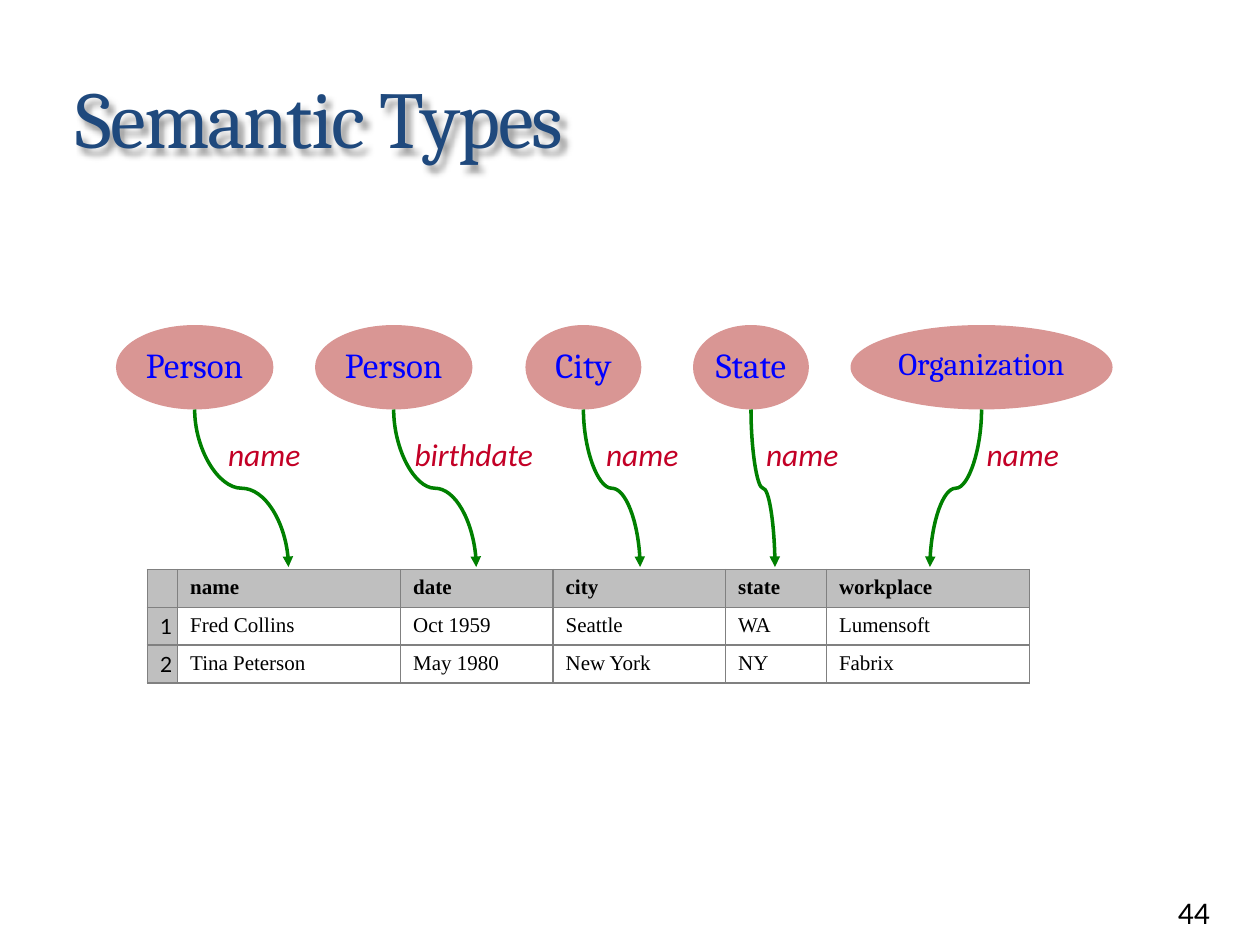
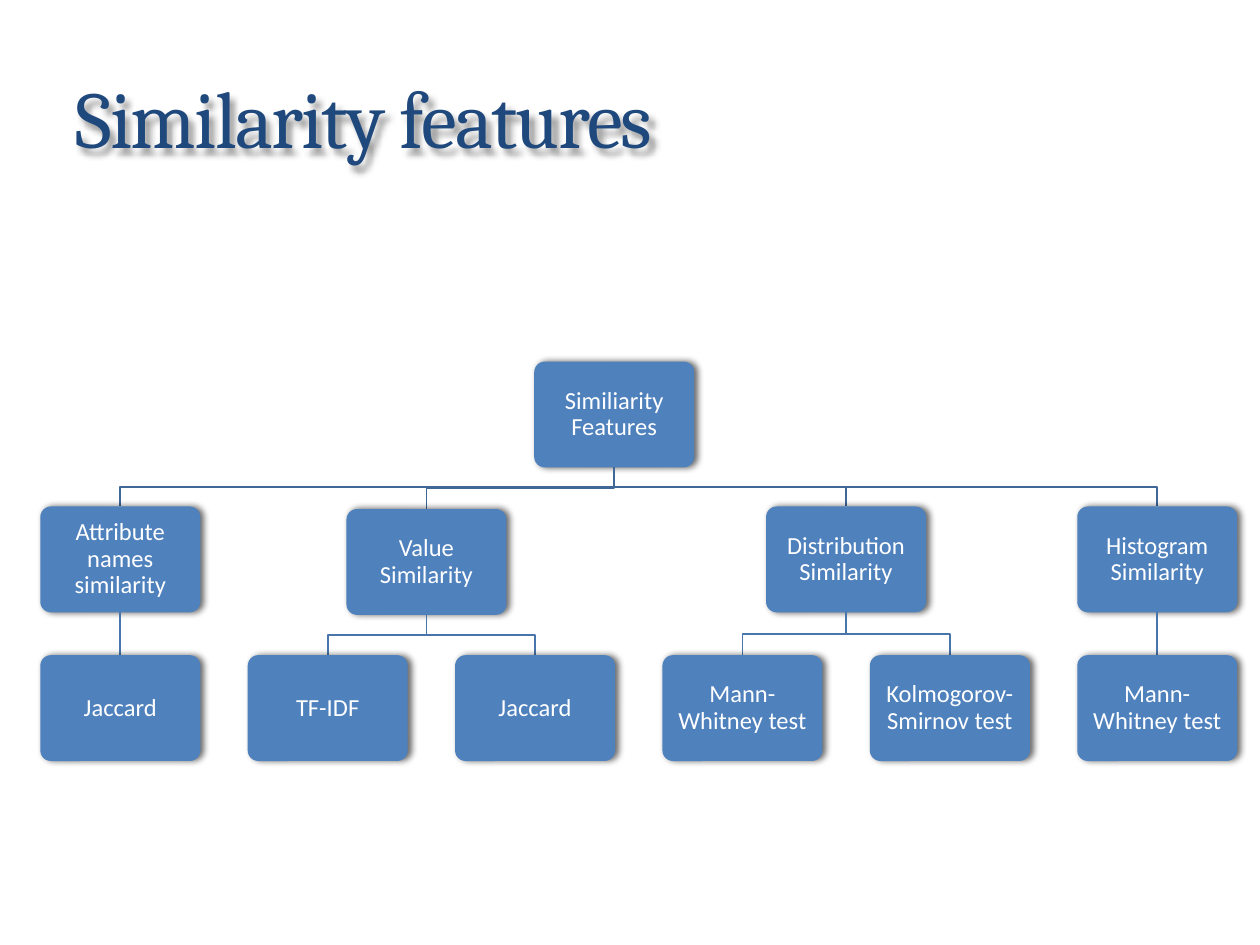
from lxml.etree import SubElement
from pptx import Presentation
from pptx.dml.color import RGBColor
from pptx.enum.shapes import MSO_CONNECTOR, MSO_SHAPE
from pptx.enum.text import MSO_ANCHOR, PP_ALIGN
from pptx.oxml.ns import qn
from pptx.util import Inches, Pt

COLORS = {
    "title": "1F497D", "type": "D99694", "type_text": "0000FF",
    "arrow": "008000", "relation": "C30026", "black": "000000",
    "header": "BFBFBF", "border": "808080", "node": "4F81BD",
    "node_text": "FFFFFF", "branch": "3F6797", "leaf_branch": "4875AC",
}

# Semantic types: name, left, width, size, relation, relation left, arrow end
TYPE_TOP, TYPE_HEIGHT, ARROW_END = 2.58, 0.67, 4.5
TYPES = [
    ("Person", 0.92, 1.25, 20, "name", 1.81, 2.29),
    ("Person", 2.5, 1.25, 20, "birthdate", 3.29, 3.78),
    ("City", 4.17, 0.92, 20, "name", 4.81, 5.08),
    ("State", 5.5, 0.92, 20, "name", 6.08, 6.15),
    ("Organization", 6.75, 2.08, 18, "name", 7.83, 7.38),
]
COLUMN_WIDTHS = [0.24, 1.77, 1.21, 1.37, 0.8, 1.61]
PEOPLE = [
    ["", "name", "date", "city", "state", "workplace"],
    ["1", "Fred Collins", "Oct 1959", "Seattle", "WA", "Lumensoft"],
    ["2", "Tina Peterson", "May 1980", "New York", "NY", "Fabrix"],
]

# Feature tree: name, left, top, leaves
NODE_WIDTH, NODE_HEIGHT = 1.27, 0.84
ROOT = ("Similiarity Features", 4.24, 2.87)
LEAF_TOP, FIRST_LEAF, LAST_LEAF = 5.2, 0.32, 8.55
FEATURES = [
    ("Attribute names similarity", 0.32, 4.02, ["Jaccard"]),
    ("Value Similarity", 2.75, 4.04, ["TF-IDF", "Jaccard"]),
    ("Distribution Similarity", 6.08, 4.02,
     ["Mann-Whitney test", "Kolmogorov-Smirnov test"]),
    ("Histogram Similarity", 8.55, 4.02, ["Mann-Whitney test"]),
]


def rgb(name):
    return RGBColor.from_string(COLORS[name])


def write(frame, text, font="Calibri", size=18, color="black", bold=False,
          italic=False, align=PP_ALIGN.LEFT, anchor=MSO_ANCHOR.TOP,
          margins=(0.1, 0.05), wrap=True, line_spacing=None):
    """Put one formatted run in a text frame."""
    frame.word_wrap = wrap
    frame.vertical_anchor = anchor
    frame.margin_left = frame.margin_right = Inches(margins[0])
    frame.margin_top = frame.margin_bottom = Inches(margins[1])
    para = frame.paragraphs[0]
    para.alignment = align
    para.line_spacing = line_spacing
    span = para.add_run()
    span.text = text
    span.font.name = font
    span.font.size = Pt(size)
    span.font.bold = bold
    span.font.italic = italic
    span.font.color.rgb = rgb(color)
    return span


def add_shadow(shape, blur, distance, degrees, opacity):
    shape.shadow.inherit = False
    effects = shape._element.spPr.find(qn("a:effectLst"))
    shadow = SubElement(effects, qn("a:outerShdw"), blurRad=str(Pt(blur)),
                        dist=str(Pt(distance)), dir=str(degrees * 60000),
                        algn="tl", rotWithShape="0")
    color = SubElement(shadow, qn("a:srgbClr"), val=COLORS["black"])
    SubElement(color, qn("a:alpha"), val=str(opacity * 1000))


def add_page(deck, title):
    page = deck.slides.add_slide(deck.slide_layouts[5])
    box = page.shapes.title
    box.left, box.top = Inches(0.5), Inches(0.3)
    box.width, box.height = Inches(9.01), Inches(1.25)
    span = write(box.text_frame, title, font="Cambria", size=46,
                 color="title", anchor=MSO_ANCHOR.MIDDLE)
    span.font._element.set("spc", "-100")
    add_shadow(box, 4, 4, 45, 40)
    return page


def add_filled(page, kind, left, top, width, height, fill):
    shape = page.shapes.add_shape(kind, Inches(left), Inches(top),
                                  Inches(width), Inches(height))
    shape.shadow.inherit = False
    shape.fill.solid()
    shape.fill.fore_color.rgb = rgb(fill)
    shape.line.fill.background()
    return shape


def add_label(page, text, left, top, width, height, **style):
    box = page.shapes.add_textbox(Inches(left), Inches(top),
                                  Inches(width), Inches(height))
    write(box.text_frame, text, **style)


def add_line(page, kind, start, end, color, width):
    line = page.shapes.add_connector(kind, *map(Inches, start + end))
    line.line.color.rgb = rgb(color)
    line.line.width = Pt(width)
    SubElement(line._element.spPr, qn("a:effectLst"))
    return line


def add_curved_arrow(page, start, end):
    """Draw an S-curve that leaves and arrives vertically."""
    (x1, y1), (x2, y2) = start, end
    middle_x, middle_y = (x1 + x2) / 2, (y1 + y2) / 2
    half_width, half_height = (y2 - y1) / 2, abs(x2 - x1) / 2
    # The frame lies on its side and is turned upright by the rotation
    side = -1 if x2 > x1 else 1
    arrow = add_line(
        page, MSO_CONNECTOR.CURVE,
        (middle_x - side * half_width, middle_y - half_height),
        (middle_x + side * half_width, middle_y + half_height), "arrow", 2)
    properties = arrow._element.spPr
    properties.find(qn("a:xfrm")).set("rot", str(side * 90 % 360 * 60000))
    SubElement(properties.find(qn("a:ln")), qn("a:tailEnd"), type="triangle")


def add_type(page, name, left, width, size, relation, relation_left, target):
    ellipse = add_filled(page, MSO_SHAPE.OVAL, left, TYPE_TOP, width,
                         TYPE_HEIGHT, "type")
    write(ellipse.text_frame, name, font="Cambria", size=size,
          color="type_text", align=PP_ALIGN.CENTER, margins=(0, 0.05))
    add_curved_arrow(page, (left + width / 2, TYPE_TOP + TYPE_HEIGHT),
                     (target, ARROW_END))
    add_label(page, relation, relation_left, 3.45,
              1.04 if relation == "birthdate" else 0.69, 0.3,
              color="relation", italic=True, margins=(0, 0), wrap=False)


def format_cell(cell, text, is_header, is_index):
    # Borders come before the fill
    properties = cell._tc.get_or_add_tcPr()
    for side in ("lnL", "lnR", "lnT", "lnB"):
        border = SubElement(properties, qn("a:" + side), w=str(Pt(1)))
        fill = SubElement(border, qn("a:solidFill"))
        SubElement(fill, qn("a:srgbClr"), val=COLORS["border"])
    if is_header or is_index:
        cell.fill.solid()
        cell.fill.fore_color.rgb = rgb("header")
    else:
        cell.fill.background()
    if text:
        write(cell.text_frame, text, size=12, bold=is_header,
              font="Lato" if is_index else "Times New Roman")
    else:
        SubElement(cell.text_frame.paragraphs[0]._p, qn("a:endParaRPr"),
                   sz="1200")
    cell.margin_left = Inches(0.1)
    cell.margin_right = Inches(0 if is_index else 0.1)
    cell.margin_top = cell.margin_bottom = Inches(0.05)


def add_people_table(page):
    table = page.shapes.add_table(
        len(PEOPLE), len(COLUMN_WIDTHS), Inches(1.17), Inches(4.52),
        Inches(sum(COLUMN_WIDTHS)), Inches(0.9)).table
    table.first_row = table.horz_banding = False
    for column, width in zip(table.columns, COLUMN_WIDTHS):
        column.width = Inches(width)
    for i, values in enumerate(PEOPLE):
        table.rows[i].height = Inches(0.3)
        for j, value in enumerate(values):
            format_cell(table.cell(i, j), value, i == 0, j == 0)


def add_node(page, text, left, top):
    node = add_filled(page, MSO_SHAPE.ROUNDED_RECTANGLE, left, top,
                      NODE_WIDTH, NODE_HEIGHT, "node")
    node.adjustments[0] = 0.1
    add_shadow(node, 4, 2, 0, 60)
    write(node.text_frame, text, size=14, color="node_text",
          align=PP_ALIGN.CENTER, anchor=MSO_ANCHOR.MIDDLE,
          margins=(0.08, 0.08), line_spacing=0.9)


def add_branch(page, parent, child, color):
    """Join two nodes, each given as (left, top)."""
    x1, y1 = parent[0] + NODE_WIDTH / 2, parent[1] + NODE_HEIGHT
    x2, y2 = child[0] + NODE_WIDTH / 2, child[1]
    if abs(x1 - x2) < 0.01:
        add_line(page, MSO_CONNECTOR.STRAIGHT, (x1, y1), (x2, y2), color, 1)
        return
    middle = (y1 + y2) / 2
    builder = page.shapes.build_freeform(Inches(x1), Inches(y1))
    corners = [(x1, middle), (x2, middle), (x2, y2)]
    builder.add_line_segments([(Inches(x), Inches(y)) for x, y in corners],
                              close=False)
    branch = builder.convert_to_shape()
    branch.shadow.inherit = False
    branch.fill.background()
    branch.line.color.rgb = rgb(color)
    branch.line.width = Pt(1)


def add_feature_tree(page):
    leaf_count = sum(len(leaves) for *_, leaves in FEATURES)
    step = (LAST_LEAF - FIRST_LEAF) / (leaf_count - 1)
    add_node(page, *ROOT)
    column = 0
    for name, left, top, leaves in FEATURES:
        add_branch(page, ROOT[1:], (left, top), "branch")
        add_node(page, name, left, top)
        for leaf in leaves:
            place = (FIRST_LEAF + column * step, LEAF_TOP)
            add_branch(page, (left, top), place, "leaf_branch")
            add_node(page, leaf, *place)
            column += 1


def main():
    deck = Presentation()
    deck.slide_width, deck.slide_height = Inches(10), Inches(7.5)

    # Semantic types
    page = add_page(deck, "Semantic Types")
    for semantic_type in TYPES:
        add_type(page, *semantic_type)
    add_people_table(page)
    add_label(page, "44", 9.25, 7.04, 0.58, 0.32)

    # Similarity features
    page = add_page(deck, "Similarity features")
    add_feature_tree(page)

    deck.save("out.pptx")


if __name__ == "__main__":
    main()
